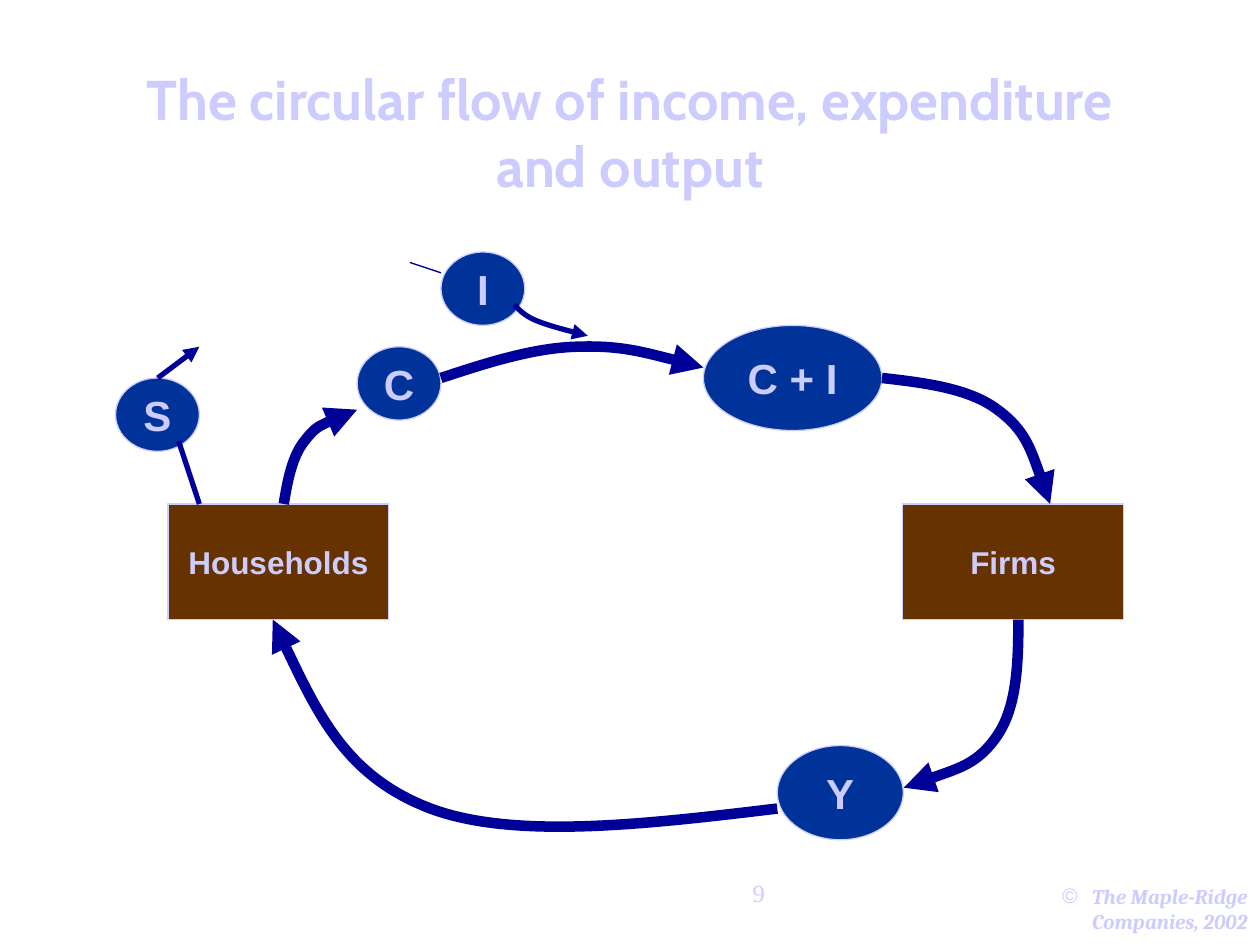
from lxml.etree import SubElement
from pptx import Presentation
from pptx.dml.color import RGBColor
from pptx.enum.shapes import MSO_CONNECTOR, MSO_SHAPE
from pptx.enum.text import MSO_ANCHOR, PP_ALIGN
from pptx.oxml.ns import qn
from pptx.util import Cm, Pt

COLORS = {"text": "CCCCFF", "node": "003399", "sector": "663300", "flow": "000099"}


def rgb(name):
    return RGBColor.from_string(COLORS[name])


class Diagram:
    def __init__(self, s, font="Arial"):
        self.s = s
        self.font = font

    def label(self, sp, text, size, font=None, bold=True, italic=False,
              align=PP_ALIGN.CENTER, anchor=MSO_ANCHOR.MIDDLE, wrap=False):
        tf = sp.text_frame
        tf.text = text
        tf.word_wrap = wrap
        tf.vertical_anchor = anchor
        p = tf.paragraphs[0]
        p.alignment = align
        f = p.runs[0].font
        f.name, f.size, f.bold, f.italic = font or self.font, Pt(size), bold, italic
        f.color.rgb = rgb("text")
        return p

    def text(self, box, text, size, **style):
        sp = self.s.shapes.add_textbox(*map(Cm, box))
        return self.label(sp, text, size, **style)

    def bullet(self, p, char, indent):
        pPr = p._p.get_or_add_pPr()
        pPr.set("marL", str(Cm(indent)))
        pPr.set("indent", str(-Cm(indent)))
        clr = SubElement(pPr, qn("a:buClr"))
        SubElement(clr, qn("a:srgbClr"), val=COLORS["text"])
        SubElement(pPr, qn("a:buFont"), typeface=self.font)
        SubElement(pPr, qn("a:buChar"), char=char)

    def shape(self, kind, box, text, size, fill):
        sp = self.s.shapes.add_shape(kind, *map(Cm, box))
        sp.shadow.inherit = False
        sp.fill.solid()
        sp.fill.fore_color.rgb = rgb(fill)
        sp.line.color.rgb = rgb("text")
        sp.line.width = Pt(0.75)
        self.label(sp, text, size)

    def node(self, box, text):
        self.shape(MSO_SHAPE.OVAL, box, text, 24, "node")

    def sector(self, left, text):
        self.shape(MSO_SHAPE.RECTANGLE, (left, 10.16, 4.45, 2.33), text, 18, "sector")

    def stroke(self, sp, width, arrow):
        sp.line.color.rgb = rgb("flow")
        sp.line.width = Pt(width)
        if arrow:
            ln = sp._element.spPr.find(qn("a:ln"))
            SubElement(ln, qn("a:tailEnd"), type="triangle")

    def line(self, start, end, width, arrow=False):
        sp = self.s.shapes.add_connector(MSO_CONNECTOR.STRAIGHT, *map(Cm, start + end))
        self.stroke(sp, width, arrow)
        SubElement(sp._element.spPr, qn("a:effectLst"))

    def curve(self, points, width=6):
        start, *rest = [(Cm(x), Cm(y)) for x, y in points]
        fb = self.s.shapes.build_freeform(*start)
        fb.add_line_segments(rest, close=False)
        sp = fb.convert_to_shape()
        sp.shadow.inherit = False
        sp.fill.background()
        self.stroke(sp, width, True)
        outline = next(sp._element.iter(qn("a:path")))
        segments = outline.findall(qn("a:lnTo"))
        for i in range(0, len(segments), 3):
            bezier = SubElement(outline, qn("a:cubicBezTo"))
            for segment in segments[i:i + 3]:
                bezier.append(segment[0])
                outline.remove(segment)


def main():
    prs = Presentation()
    prs.slide_width, prs.slide_height = Cm(25.4), Cm(19.05)
    d = Diagram(prs.slides.add_slide(prs.slide_layouts[6]))

    d.text((1.9, 1.06, 21.6, 3.18), "The circular flow of income, expenditure and output",
           32, font="Cabin", wrap=True)

    for left, name in ((3.39, "Households"), (18.2, "Firms")):
        d.sector(left, name)

    for box, name in (
        ((15.67, 15.03, 2.54, 1.9), "Y"),
        ((14.18, 6.56, 3.6, 2.12), "C + I"),
        ((8.89, 5.08, 1.69, 1.48), "I"),
        ((7.2, 6.99, 1.69, 1.48), "C"),
        ((2.33, 7.62, 1.69, 1.48), "S"),
    ):
        d.node(box, name)

    for points in (
        [(5.72, 10.16), (5.8, 9.68), (5.89, 9.2), (6.14, 8.89),
         (6.38, 8.58), (6.78, 8.41), (7.2, 8.26)],
        [(8.89, 7.62), (9.83, 7.31), (10.77, 7.01), (11.64, 6.99),
         (12.51, 6.96), (13.35, 7.19), (14.18, 7.41)],
        [(17.78, 7.62), (18.66, 7.72), (19.54, 7.83), (20.11, 8.26),
         (20.68, 8.68), (20.92, 9.42), (21.17, 10.16)],
        [(20.53, 12.49), (20.53, 13.37), (20.5, 14.24), (20.11, 14.82),
         (19.72, 15.4), (18.97, 15.62), (18.22, 15.88)],
        [(15.67, 16.3), (13.01, 16.62), (10.36, 16.93), (8.68, 16.3),
         (6.99, 15.66), (6.24, 14.08), (5.5, 12.49)],
    ):
        d.curve(points)
    d.curve([(10.37, 6.14), (10.46, 6.24), (10.55, 6.35), (10.8, 6.46),
             (11.05, 6.56), (11.46, 6.67), (11.85, 6.77)], width=3)

    d.line((8.26, 5.29), (8.89, 5.5), 0.75)
    d.line((4.02, 10.16), (3.6, 8.89), 3)
    d.line((3.18, 7.62), (4.02, 6.99), 3, arrow=True)

    d.text((9.32, 17.57, 6.35, 1.06), "9", 14, font="Times New Roman", bold=False,
           align=PP_ALIGN.RIGHT, anchor=MSO_ANCHOR.TOP, wrap=True)
    p = d.text((20.32, 18, 5.08, 0.64), "The Maple-Ridge Companies, 2002", 12,
               font="Cambria", italic=True, align=PP_ALIGN.RIGHT)
    d.bullet(p, "©", 0.6)

    prs.save("out.pptx")


if __name__ == "__main__":
    main()
